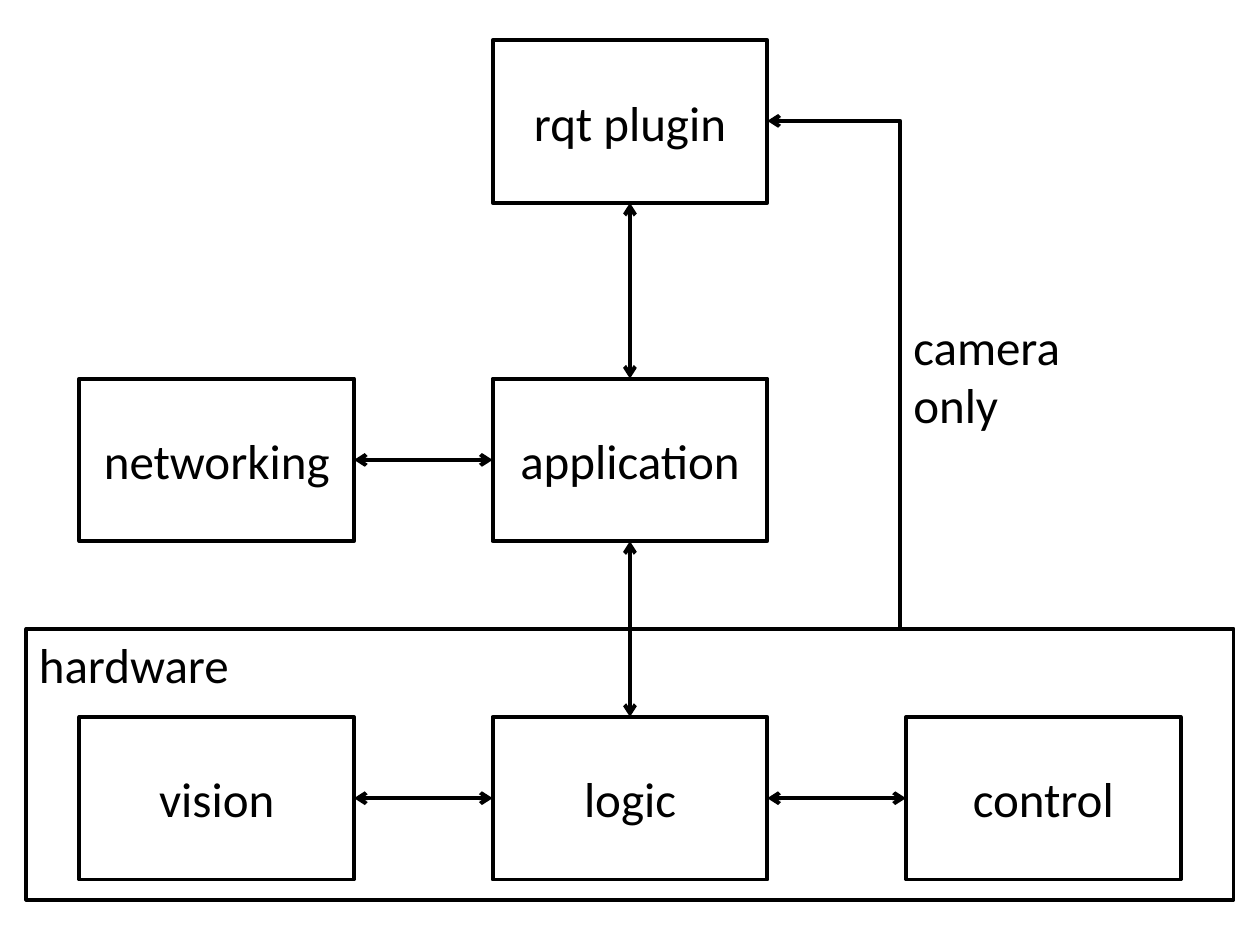
from dataclasses import dataclass

import lxml.etree
import pptx
import pptx.dml.color
import pptx.enum.shapes
import pptx.enum.text
import pptx.oxml.ns
import pptx.shapes.autoshape
import pptx.shapes.connector
import pptx.slide
import pptx.text.text
import pptx.util

Inches = pptx.util.Inches
qn = pptx.oxml.ns.qn
PP_ALIGN = pptx.enum.text.PP_ALIGN
MSO_ANCHOR = pptx.enum.text.MSO_ANCHOR
MSO_CONNECTOR = pptx.enum.shapes.MSO_CONNECTOR


@dataclass(frozen=True)
class Theme:
    ink: pptx.dml.color.RGBColor = pptx.dml.color.RGBColor(0, 0, 0)
    paper: pptx.dml.color.RGBColor = pptx.dml.color.RGBColor(255, 255, 255)
    font: str = "Calibri"
    text_size: pptx.util.Pt = pptx.util.Pt(28)
    line_width: pptx.util.Pt = pptx.util.Pt(2.25)


@dataclass(frozen=True)
class Module:
    label: str
    column: int
    row: int


@dataclass(frozen=True)
class Link:
    start: str
    start_site: int
    end: str
    end_site: int


THEME = Theme()

# Module grid, in inches
LEFT, TOP = 0.63, 0.32
COLUMN_STEP, ROW_STEP = 3.28, 2.685
MODULE_WIDTH, MODULE_HEIGHT = 2.18, 1.29

# Connection sites of a rectangle
SITE_TOP, SITE_LEFT, SITE_BOTTOM, SITE_RIGHT = range(4)

MODULES = [
    Module("vision", 0, 2),
    Module("logic", 1, 2),
    Module("control", 2, 2),
    Module("application", 1, 1),
    Module("networking", 0, 1),
    Module("rqt plugin", 1, 0),
]
LINKS = [
    Link("application", SITE_BOTTOM, "logic", SITE_TOP),
    Link("logic", SITE_LEFT, "vision", SITE_RIGHT),
    Link("control", SITE_LEFT, "logic", SITE_RIGHT),
    Link("application", SITE_LEFT, "networking", SITE_RIGHT),
    Link("rqt plugin", SITE_BOTTOM, "application", SITE_TOP),
]


def write(frame: pptx.text.text.TextFrame, text: str) -> None:
    frame.text = text
    for run in frame.paragraphs[0].runs:
        run.font.name = THEME.font
        run.font.size = THEME.text_size
        run.font.color.rgb = THEME.ink


def draw_box(slide: pptx.slide.Slide, label: str, left: float, top: float,
             width: float, height: float, align: PP_ALIGN,
             anchor: MSO_ANCHOR) -> pptx.shapes.autoshape.Shape:
    box = slide.shapes.add_shape(
        pptx.enum.shapes.MSO_SHAPE.RECTANGLE,
        Inches(left), Inches(top), Inches(width), Inches(height))
    box.shadow.inherit = False
    box.fill.solid()
    box.fill.fore_color.rgb = THEME.paper
    box.line.color.rgb = THEME.ink
    box.line.width = THEME.line_width
    write(box.text_frame, label)
    box.text_frame.vertical_anchor = anchor
    box.text_frame.paragraphs[0].alignment = align
    return box


def style_connector(connector: pptx.shapes.connector.Connector,
                    *arrow_ends: str) -> None:
    connector.line.color.rgb = THEME.ink
    connector.line.width = THEME.line_width
    properties = connector._element.spPr
    outline = properties.find(qn("a:ln"))
    for end in arrow_ends:
        lxml.etree.SubElement(outline, qn(end), type="arrow")
    lxml.etree.SubElement(properties, qn("a:effectLst"))


presentation = pptx.Presentation()
presentation.slide_width, presentation.slide_height = Inches(10), Inches(7.5)
slide = presentation.slides.add_slide(presentation.slide_layouts[6])

# Hardware group and the modules
draw_box(slide, "hardware", 0.21, 4.99, 9.58, 2.15,
         PP_ALIGN.LEFT, MSO_ANCHOR.TOP)
boxes = {
    module.label: draw_box(
        slide, module.label,
        LEFT + module.column * COLUMN_STEP, TOP + module.row * ROW_STEP,
        MODULE_WIDTH, MODULE_HEIGHT, PP_ALIGN.CENTER, MSO_ANCHOR.MIDDLE)
    for module in MODULES
}

# Two-way links between modules
for link in LINKS:
    arrow = slide.shapes.add_connector(MSO_CONNECTOR.STRAIGHT, 0, 0, 0, 0)
    arrow.begin_connect(boxes[link.start], link.start_site)
    arrow.end_connect(boxes[link.end], link.end_site)
    style_connector(arrow, "a:headEnd", "a:tailEnd")

# Camera feed from the hardware group to the plugin
camera_feed = slide.shapes.add_connector(
    MSO_CONNECTOR.ELBOW, Inches(6.09), Inches(0.96), Inches(8.2), Inches(4.99))
style_connector(camera_feed, "a:headEnd")

camera_note = slide.shapes.add_textbox(
    Inches(7.15), Inches(2.46), Inches(1.38), Inches(1.04))
camera_note.text_frame.word_wrap = False
camera_note.text_frame.auto_size = pptx.enum.text.MSO_AUTO_SIZE.SHAPE_TO_FIT_TEXT
write(camera_note.text_frame, "camera\vonly")

presentation.save("out.pptx")
